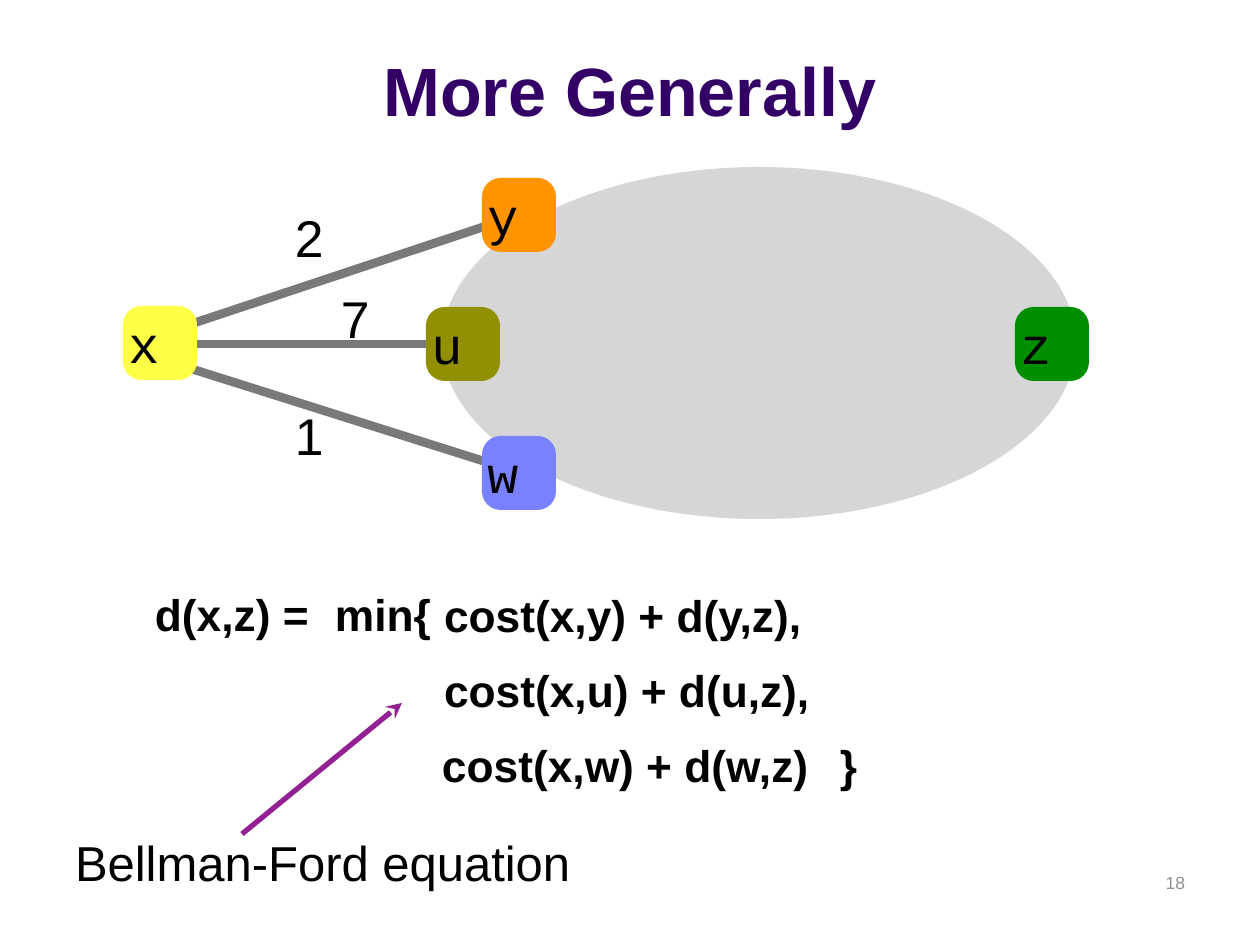
from lxml import etree
from pptx import Presentation
from pptx.dml.color import RGBColor
from pptx.enum.shapes import MSO_CONNECTOR, MSO_SHAPE
from pptx.enum.text import MSO_ANCHOR, PP_ALIGN
from pptx.oxml.ns import qn
from pptx.util import Emu, Pt

STRAIGHT = MSO_CONNECTOR.STRAIGHT
OVAL, ROUNDED = MSO_SHAPE.OVAL, MSO_SHAPE.ROUNDED_RECTANGLE
TOP, MIDDLE, BOTTOM = MSO_ANCHOR.TOP, MSO_ANCHOR.MIDDLE, MSO_ANCHOR.BOTTOM
LEFT, CENTER, RIGHT = PP_ALIGN.LEFT, PP_ALIGN.CENTER, PP_ALIGN.RIGHT

EMU_PER_PX = 914400 / 126
COLORS = {
    "title": "330066", "text": "000000", "number": "919191",
    "cloud": "D6D6D6", "edge": "797979", "arrow": "942193",
    "x": "FFFF47", "y": "FF9300", "u": "929000", "w": "7A81FF", "z": "008F00",
}


def px(*values):
    return [Emu(round(v * EMU_PER_PX)) for v in values]


def write(sp, text, size, font="Arial", color="text", bold=False,
          align=LEFT, anchor=MIDDLE, inset=5, wrap=True):
    tf = sp.text_frame
    tf.word_wrap = wrap
    tf.vertical_anchor = anchor
    tf.margin_left, tf.margin_top, tf.margin_right, tf.margin_bottom = px(*[inset] * 4)
    p = tf.paragraphs[0]
    p.alignment = align
    r = p.add_run()
    r.text = text
    r.font.size, r.font.name, r.font.bold = Pt(size), font, bold
    r.font.color.rgb = RGBColor.from_string(COLORS[color])


prs = Presentation()
prs.slide_width, prs.slide_height = px(1260, 945)
s = prs.slides.add_slide(prs.slide_layouts[5])

# Title
title = s.shapes.title
title.left, title.top, title.width, title.height = px(0, 16, 1260, 120)
write(title, "More Generally", 39, color="title", bold=True,
      align=CENTER, anchor=BOTTOM, inset=6)

# Network cloud
cloud = s.shapes.add_shape(OVAL, *px(442, 167, 634, 352))
cloud.shadow.inherit = False
cloud.fill.solid()
cloud.fill.fore_color.rgb = RGBColor.from_string(COLORS["cloud"])
cloud.line.fill.background()

# Edges from x, then the arrow to the equation
for x1, y1, x2, y2, color, width in [
    (179, 328, 498, 222, "edge", 5),
    (184, 344, 450, 344, "edge", 5),
    (173, 363, 499, 466, "edge", 5),
    (242, 834, 402, 703, "arrow", 3),
]:
    line = s.shapes.add_connector(STRAIGHT, *px(x1, y1, x2, y2))
    line.line.color.rgb = RGBColor.from_string(COLORS[color])
    line.line.width = Pt(width)
    if color == "arrow":
        etree.SubElement(line.line._get_or_add_ln(), qn("a:tailEnd"), type="stealth")
    etree.SubElement(line._element.spPr, qn("a:effectLst"))

# Nodes
for name, x, y in [("x", 123, 306), ("y", 482, 178), ("u", 426, 307),
                   ("w", 482, 436), ("z", 1015, 307)]:
    node = s.shapes.add_shape(ROUNDED, *px(x, y, 74, 74))
    node.adjustments[0] = 0.25
    node.shadow.inherit = False
    node.fill.solid()
    node.fill.fore_color.rgb = RGBColor.from_string(COLORS[name])
    node.line.fill.background()
    write(node, name, 29.5, font="Courier New", inset=0)

# Edge costs
for cost, x, y in [("2", 290, 200), ("7", 336, 281), ("1", 290, 398)]:
    write(s.shapes.add_textbox(*px(x, y, 37, 73)), cost, 29.5)

# Equation
for text, x, y, w in [
    ("d(x,z) =", 150, 582, 178),
    ("min{", 330, 582, 107),
    ("cost(x,y) + d(y,z),", 439, 583, 396),
    ("cost(x,u) + d(u,z),", 439, 658, 396),
    ("cost(x,w) + d(w,z)", 437, 733, 461),
    ("}", 835, 733, 28),
]:
    write(s.shapes.add_textbox(*px(x, y, w, 63)), text, 25.3, bold=True, wrap=False)

# Caption and slide number
write(s.shapes.add_textbox(*px(70, 827, 546, 69)), "Bellman-Ford equation", 28)
write(s.shapes.add_textbox(*px(903, 861, 294, 63)), "18", 10, color="number",
      align=RIGHT, anchor=TOP, inset=12)

prs.save("out.pptx")
